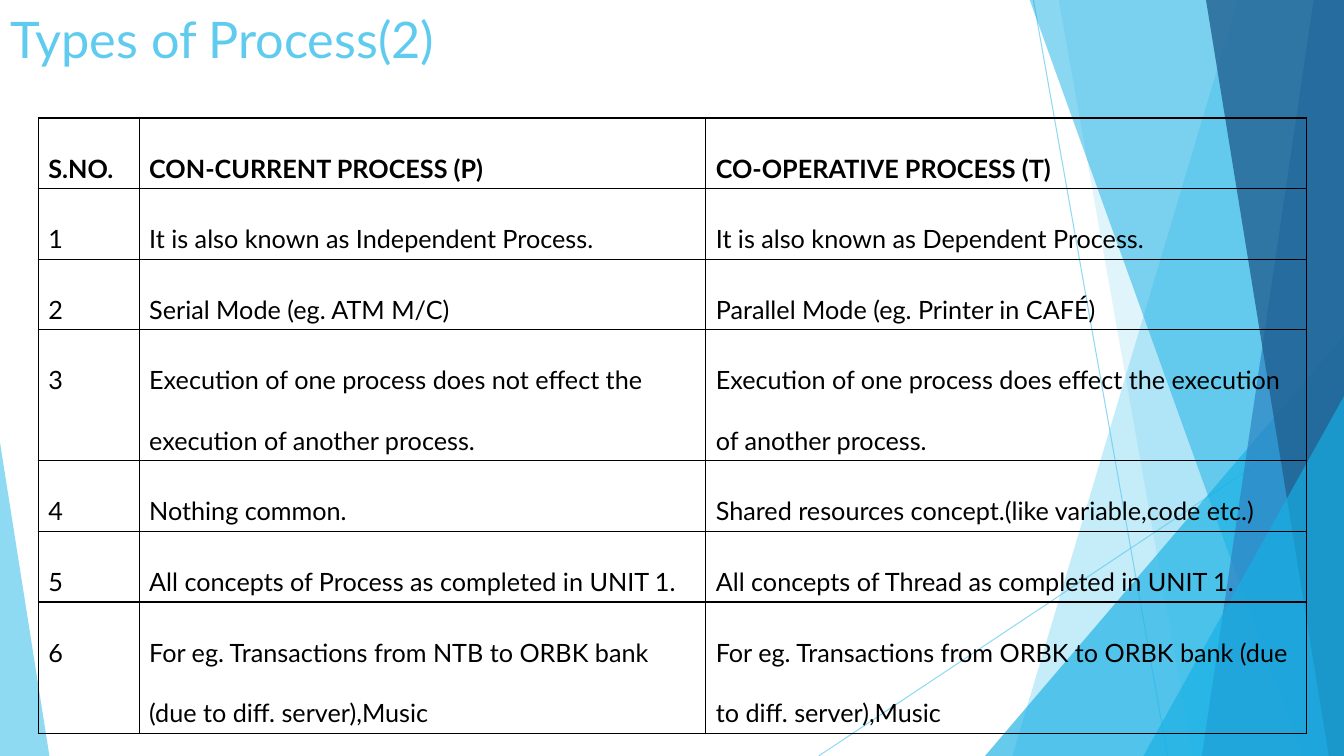
from dataclasses import dataclass
from lxml.etree import SubElement
from pptx import Presentation
from pptx.dml.color import RGBColor
from pptx.enum.shapes import MSO_CONNECTOR, MSO_SHAPE
from pptx.enum.text import MSO_ANCHOR, PP_ALIGN
from pptx.oxml.ns import qn
from pptx.util import Pt

PX = 9144
PAGE_SIZE = (1333, 750)


@dataclass(frozen=True)
class Theme:
    font: str = "Lato"
    title_size: int = 36
    body_size: int = 18
    ink: str = "000000"
    sky: str = "5FCBEF"
    cyan: str = "17B0E4"
    blue: str = "2E83C3"
    navy: str = "226292"


THEME = Theme()
TITLE = "Types of Process(2)"
TITLE_BOX = (0, 3, 1333, 87)

ROWS = [
    ("S.NO.", "CON-CURRENT PROCESS (P)", "CO-OPERATIVE PROCESS (T)"),
    ("1", "It is also known as Independent Process.",
     "It is also known as Dependent Process."),
    ("2", "Serial Mode (eg. ATM M/C)", "Parallel Mode (eg. Printer in CAFÉ)"),
    ("3", "Execution of one process does not effect the execution of another process.",
     "Execution of one process does effect the execution of another process."),
    ("4", "Nothing common.", "Shared resources concept.(like variable,code etc.)"),
    ("5", "All concepts of Process as completed in UNIT 1.",
     "All concepts of Thread as completed in UNIT 1."),
    ("6", "For eg. Transactions from NTB to ORBK bank (due to diff. server),Music",
     "For eg. Transactions from ORBK to ORBK bank (due to diff. server),Music"),
]
TABLE_ORIGIN = (38, 117)
COLUMN_WIDTHS = (100, 562, 596)
LINE_HEIGHT, CELL_PADDING = 60, 10
TWO_LINE_ROWS = (3, 6)

RAYS = [(1025, 0, 1158, 750), (1333, 403, 812, 750)]
# kind, geometry, colour, opacity
FACETS = [
    ("band", (1228, 1004), THEME.sky, 36),
    ("band", (1050, 1183), THEME.sky, 20),
    ("triangle", (977, 333, 356, 417, 1), THEME.cyan, 66),
    ("band", (1021, 1291), THEME.cyan, 50),
    ("band", (1303, 1192), THEME.blue, 70),
    ("band", (1196, 1318), THEME.navy, 80),
    ("triangle", (1134, 393, 199, 357, 1), THEME.cyan, 66),
    ("triangle", (0, 439, 49, 311, 0), THEME.sky, 70),
]


def px(*lengths):
    return [length * PX for length in lengths]


def color(code):
    return RGBColor.from_string(code)


def set_opacity(element, percent):
    for tint in element.spPr.iter(qn("a:srgbClr")):
        SubElement(tint, qn("a:alpha"), val=str(percent * 1000))


def add_ray(page, ends):
    ray = page.shapes.add_connector(MSO_CONNECTOR.STRAIGHT, *px(*ends))
    ray.line.color.rgb = color(THEME.sky)
    ray.line.width = Pt(0.75)
    set_opacity(ray._element, 70)
    SubElement(ray._element.spPr, qn("a:effectLst"))


def add_facet(page, kind, geometry, tint, opacity):
    if kind == "band":
        top_x, bottom_x = geometry
        right, bottom = PAGE_SIZE
        builder = page.shapes.build_freeform(top_x, -1, scale=PX)
        builder.add_line_segments([(right, -1), (right, bottom), (bottom_x, bottom)])
        facet = builder.convert_to_shape()
    else:
        *bounds, apex = geometry
        facet = page.shapes.add_shape(MSO_SHAPE.ISOSCELES_TRIANGLE, *px(*bounds))
        facet.adjustments[0] = apex
    facet.shadow.inherit = False
    facet.fill.solid()
    facet.fill.fore_color.rgb = color(tint)
    facet.line.fill.background()
    set_opacity(facet._element, opacity)


def style_text(para, size, tint, bold=False):
    para.font.name = THEME.font
    para.font.size = Pt(size)
    para.font.bold = bold
    para.font.color.rgb = color(tint)
    para.alignment = PP_ALIGN.LEFT


def add_title(page):
    title = page.shapes.title
    title.left, title.top, title.width, title.height = px(*TITLE_BOX)
    title.text_frame.text = TITLE
    title.text_frame.vertical_anchor = MSO_ANCHOR.TOP
    style_text(title.text_frame.paragraphs[0], THEME.title_size, THEME.sky)


def fill_cell(cell, text, bold):
    cell.text = text
    para = cell.text_frame.paragraphs[0]
    para.line_spacing = 2.0
    style_text(para, THEME.body_size, THEME.ink, bold)
    properties = cell._tc.get_or_add_tcPr()
    for side in ("lnL", "lnR", "lnT", "lnB"):
        border = SubElement(properties, qn(f"a:{side}"), w=str(Pt(1)))
        paint = SubElement(border, qn("a:solidFill"))
        SubElement(paint, qn("a:srgbClr"), val=THEME.ink)
    cell.fill.background()


def add_comparison(page):
    heights = [LINE_HEIGHT * (2 if index in TWO_LINE_ROWS else 1) + CELL_PADDING
               for index in range(len(ROWS))]
    bounds = px(*TABLE_ORIGIN, sum(COLUMN_WIDTHS), sum(heights))
    table = page.shapes.add_table(len(ROWS), len(COLUMN_WIDTHS), *bounds).table
    table.first_row = table.horz_banding = False
    for column, width in zip(table.columns, px(*COLUMN_WIDTHS)):
        column.width = width
    for row, height in zip(table.rows, px(*heights)):
        row.height = height
    for row_index, texts in enumerate(ROWS):
        for column_index, text in enumerate(texts):
            fill_cell(table.cell(row_index, column_index), text, row_index == 0)


def main():
    deck = Presentation()
    deck.slide_width, deck.slide_height = px(*PAGE_SIZE)
    page = deck.slides.add_slide(deck.slide_layouts[5])
    for ends in RAYS:
        add_ray(page, ends)
    for facet in FACETS:
        add_facet(page, *facet)
    add_title(page)
    add_comparison(page)
    deck.save("out.pptx")


if __name__ == "__main__":
    main()
